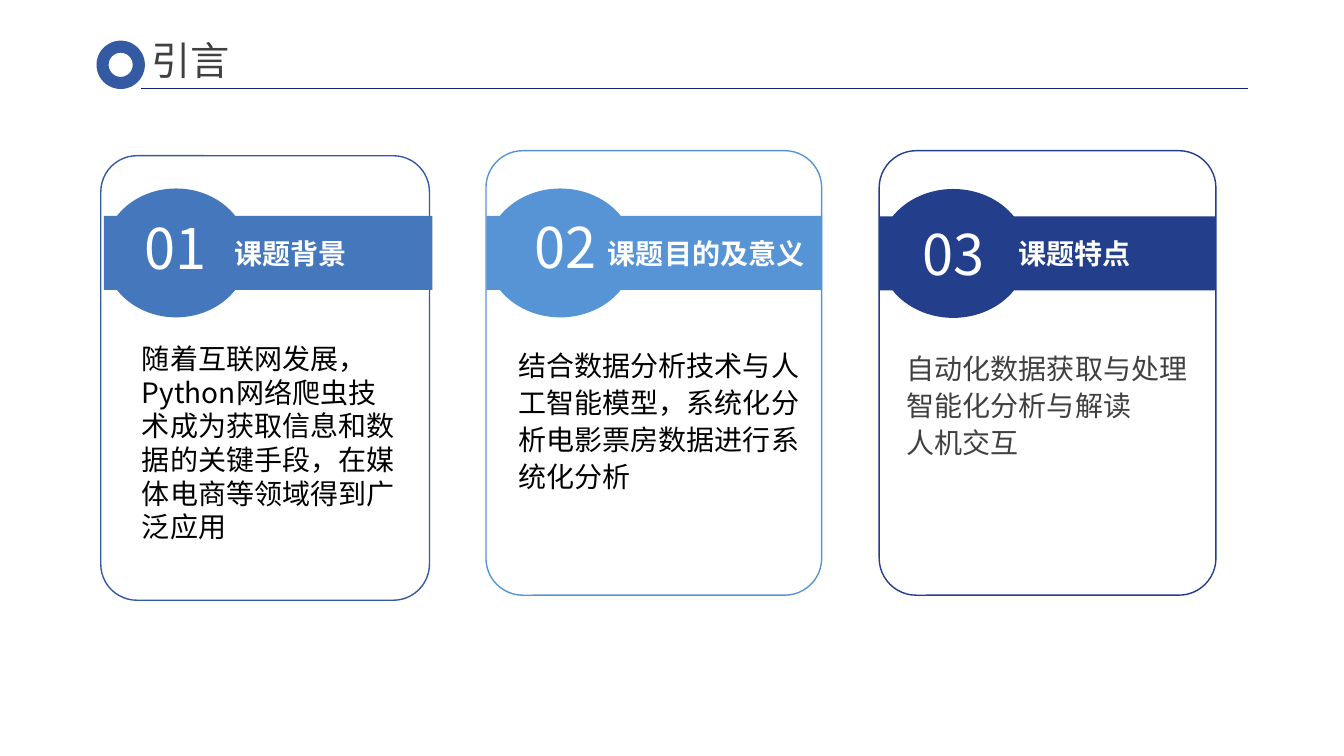
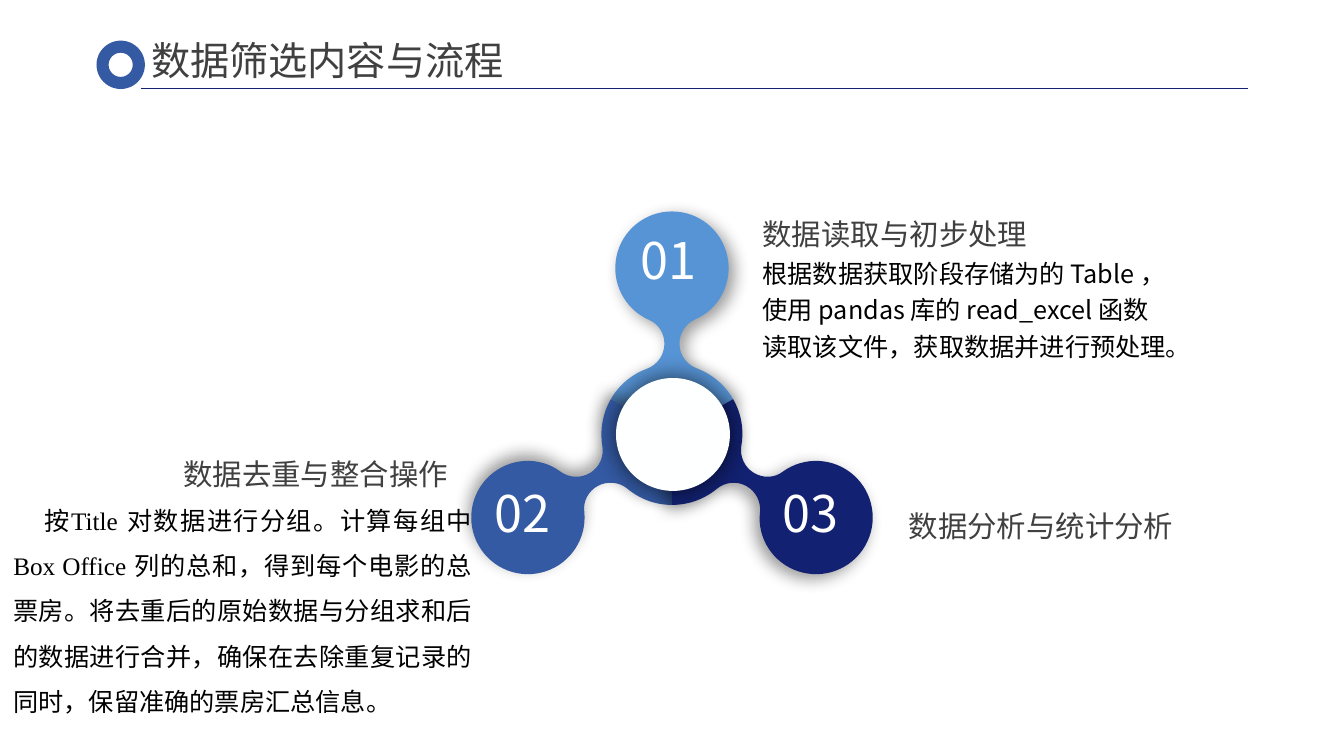
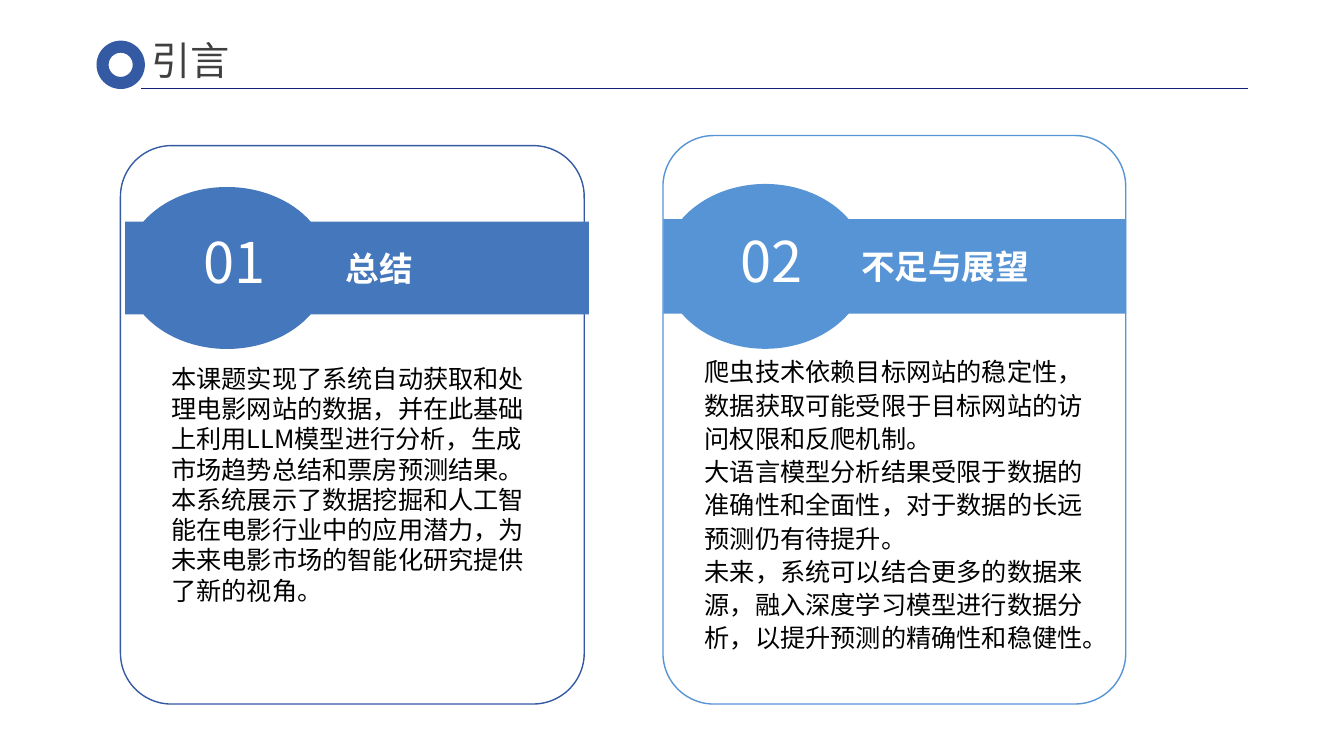
"""Build three slides on a film box-office project: two sets of cards and a three-armed wheel."""
import math
import pptx
import pptx.util
import pptx.dml.color
import pptx.enum.shapes
import pptx.enum.text
import pptx.oxml
import pptx.oxml.ns

RGB = pptx.dml.color.RGBColor
KIND = pptx.enum.shapes.MSO_SHAPE
ALIGN = pptx.enum.text.PP_ALIGN
MIDDLE = pptx.enum.text.MSO_ANCHOR.MIDDLE

NAVY = RGB(0x12, 0x21, 0x71)
DEEP = RGB(0x23, 0x3E, 0x8A)
BLUE = RGB(0x34, 0x5A, 0xA3)
MID = RGB(0x45, 0x77, 0xBC)
SKY = RGB(0x57, 0x94, 0xD5)
GRAY = RGB(0x40, 0x40, 0x40)
BLACK = RGB(0, 0, 0)
WHITE = RGB(0xFF, 0xFF, 0xFF)
PALE = RGB(0xFE, 0xFF, 0xFF)
SANS = "Noto Sans CJK SC"
SERIF = "Times New Roman"

deck = pptx.Presentation()
deck.slide_width = pptx.util.Inches(13.33)
deck.slide_height = pptx.util.Inches(7.5)
CELL = deck.slide_height / 75


def write(frame, lines, size, color, align=ALIGN.LEFT, space=None, bold=None, face=SANS):
    """Fill a text frame with evenly styled paragraphs."""
    frame.word_wrap = True
    frame.text = "\n".join(lines)
    for par in frame.paragraphs:
        par.alignment = align
        par.line_spacing = space
        par.font.size = pptx.util.Pt(size)
        par.font.bold = bold
        par.font.color.rgb = color
        par.font.name = face
        style = par._p.pPr.find(pptx.oxml.ns.qn("a:defRPr"))
        asian = pptx.oxml.parse_xml(f'<a:ea {pptx.oxml.ns.nsdecls("a")} typeface="{SANS}"/>')
        style.find(pptx.oxml.ns.qn("a:latin")).addnext(asian)


def trace(sheet, left, top, arcs, fill, spin=0):
    """Draw a closed outline of corners (x, y) and arcs (centre, radii, angles), turned about its origin."""
    dots, curves = [], []
    for mid_x, mid_y, *rest in arcs:
        rad_x, rad_y, start, stop = rest or (0, 0, 0, 0)
        first = (mid_x + rad_x * math.cos(math.radians(start)),
                 mid_y + rad_y * math.sin(math.radians(start)))
        if not dots or math.dist(dots[-1], first) > 0.3:
            dots.append(first)
        count = math.ceil(abs(stop - start) / 90)
        for step in range(count):
            sweep = math.radians((stop - start) / count)
            pull = math.tan(sweep / 4) * 4 / 3
            here = math.radians(start) + step * sweep
            there = here + sweep
            curves.append(len(dots))
            for angle, lean in ((here, pull), (there, -pull), (there, 0)):
                dots.append((mid_x + rad_x * (math.cos(angle) - lean * math.sin(angle)),
                             mid_y + rad_y * (math.sin(angle) + lean * math.cos(angle))))
    turn = math.radians(spin)
    dots = [((left + x * math.cos(turn) - y * math.sin(turn)) * CELL,
             (top + x * math.sin(turn) + y * math.cos(turn)) * CELL) for x, y in dots]
    pen = sheet.shapes.build_freeform(*dots[0])
    pen.add_line_segments(dots[1:], close=True)
    shape = pen.convert_to_shape()
    strokes = list(shape._element.spPr.iter(pptx.oxml.ns.qn("a:lnTo")))
    for at in curves:
        bend = strokes[at - 1]
        bend.tag = pptx.oxml.ns.qn("a:cubicBezTo")
        for extra in strokes[at:at + 2]:
            bend.append(extra[0])
            extra.getparent().remove(extra)
    shape.fill.solid()
    shape.fill.fore_color.rgb = fill
    shape.line.fill.background()
    shape.shadow.inherit = False
    return shape


sheets = []
for title in ("引言", "数据筛选内容与流程", "引言"):
    sheet = deck.slides.add_slide(deck.slide_layouts[5])
    sheets.append(sheet)
    head = sheet.shapes.title
    head.left, head.top, head.width, head.height = (int(n * CELL) for n in (14, 3.1, 40, 5.7))
    head.text_frame.auto_size = pptx.enum.text.MSO_AUTO_SIZE.NONE
    head.text_frame.vertical_anchor = MIDDLE
    write(head.text_frame, [title], 28, GRAY)
    ring = sheet.shapes.add_shape(KIND.DONUT, *(int(n * CELL) for n in (9.57, 4.03, 4.8, 4.8)))
    ring.fill.solid()
    ring.fill.fore_color.rgb = BLUE
    ring.line.fill.background()
    ring.shadow.inherit = False
    rule = sheet.shapes.add_connector(pptx.enum.shapes.MSO_CONNECTOR.STRAIGHT,
                                      *(int(n * CELL) for n in (14, 8.74, 123.8, 8.74)))
    rule.line.color.rgb = NAVY
    rule.line.width = pptx.util.Pt(0.5)
    rule._element.spPr.append(pptx.oxml.parse_xml(f'<a:effectLst {pptx.oxml.ns.nsdecls("a")}/>'))

first, wheel, last = sheets
cards = [
    (first, (10, 15.45, 32.6, 44.1), (10.3, 18.7), BLUE, MID, "01", (17.4, 20.7),
     "课题背景", 23.25, 20, (13.1, 33.4, 27.1, 21.2), 20, BLACK, None,
     ["随着互联网发展，Python网络爬虫技术成为获取信息和数据的关键手段，在媒体电商等领域得到广泛应用"]),
    (first, (48.2, 14.95, 33.3, 44.1), (48.25, 18.7), SKY, SKY, "02", (56.1, 20.6),
     "课题目的及意义", 60.3, 20, (50.45, 33.75, 29.9, 15.5), 20, BLACK, 1.1,
     ["结合数据分析技术与人工智能模型，系统化分析电影票房数据进行系统化分析"]),
    (first, (87.2, 14.95, 33.4, 44.1), (87.2, 18.75), DEEP, DEEP, "03", (94.6, 21.3),
     "课题特点", 101, 20, (88.95, 34.05, 30.5, 22.2), 20, GRAY, 1.1,
     ["自动化数据获取与处理", "智能化分析与解读", "人机交互"]),
    (last, (11.95, 14.45, 46, 55.4), (12.4, 18.55), BLUE, MID, "01", (23.25, 22.1),
     "总结", 34.3, 24, (16, 35.55, 38.1, 28.6), 18, BLACK, None,
     ["本课题实现了系统自动获取和处理电影网站的数据，并在此基础上利用LLM模型进行分析，"
      "生成市场趋势总结和票房预测结果。本系统展示了数据挖掘和人工智能在电影行业中的应用潜力，"
      "为未来电影市场的智能化研究提供了新的视角。"]),
    (last, (65.75, 13.45, 45.9, 56.4), (65.8, 18.25), SKY, SKY, "02", (76.55, 21.95),
     "不足与展望", 85.4, 24, (68.9, 34.6, 41.4, 33.8), 18, BLACK, 1.1,
     ["爬虫技术依赖目标网站的稳定性，数据获取可能受限于目标网站的访问权限和反爬机制。",
      "大语言模型分析结果受限于数据的准确性和全面性，对于数据的长远预测仍有待提升。",
      "未来，系统可以结合更多的数据来源，融入深度学习模型进行数据分析，以提升预测的精确性和稳健性。"]),
]
for (sheet, box, (left, top), edge, fill, number, (mid, high),
     label, start, large, body, size, ink, space, lines) in cards:
    card = sheet.shapes.add_shape(KIND.ROUNDED_RECTANGLE, *(int(n * CELL) for n in box))
    card.adjustments[0] = 0.11
    card.fill.solid()
    card.fill.fore_color.rgb = WHITE
    card.line.color.rgb = edge
    card.line.width = pptx.util.Pt(1)
    card.shadow.inherit = False

    wide, tall = box[2], box[3] * 0.29
    rad_x, rad_y = wide * 0.22, tall / 2
    up = rad_y * (1 - math.sin(math.radians(35)))
    low = tall - up
    band = trace(sheet, left, top, [
        (0, up), (rad_x, rad_y, rad_x, rad_y, 215, 325), (wide, up),
        (wide, low), (rad_x, rad_y, rad_x, rad_y, 35, 145), (0, low)], fill)
    band.text_frame.margin_left = int((start - left) * CELL)
    band.text_frame.margin_right = 0
    band.text_frame.vertical_anchor = MIDDLE
    write(band.text_frame, [label], large, WHITE, bold=True)

    count = sheet.shapes.add_textbox(*(int(n * CELL) for n in (mid - 5.5, high, 11, 7.7)))
    write(count.text_frame, [number], 40, WHITE, ALIGN.CENTER)
    note = sheet.shapes.add_textbox(*(int(n * CELL) for n in body))
    write(note.text_frame, lines, size, ink, space=space)

HUB_X, HUB_Y = 66.65, 43.1
arm = [(0, 0), (0, 0, 7, 7, -30, -69), (3.4, -9, 2.65, 2.65, 111, 246),
       (0, -16.5, 5.62, 5.62, 66, -246), (-3.4, -9, 2.65, 2.65, -66, 69), (0, 0, 7, 7, -111, -150)]
parts = [(trace(wheel, HUB_X, HUB_Y, arm, fill, spin), 40, 12, 5, aim)
         for fill, spin, aim in ((SKY, 0, 40), (BLUE, 240, 250), (NAVY, 120, 140))]
hub = wheel.shapes.add_shape(KIND.OVAL, *(int(n * CELL) for n in (61.1, 37.5, 11.3, 11.2)))
hub.fill.solid()
hub.fill.fore_color.rgb = PALE
hub.line.fill.background()
hub.shadow.inherit = False
for shape, alpha, blur, far, aim in parts + [(hub, 65, 18, 0, 10)]:
    effects = shape._element.spPr.find(pptx.oxml.ns.qn("a:effectLst"))
    effects.append(pptx.oxml.parse_xml(
        f'<a:outerShdw {pptx.oxml.ns.nsdecls("a")} blurRad="{pptx.util.Pt(blur)}" '
        f'dist="{pptx.util.Pt(far)}" dir="{aim * 60000}" algn="ctr" rotWithShape="0">'
        f'<a:srgbClr val="000000"><a:alpha val="{alpha * 1000}"/></a:srgbClr></a:outerShdw>'))

for number, left, top in (("01", 62.55, 22.2), ("02", 48.1, 47.3), ("03", 76.65, 47.3)):
    count = wheel.shapes.add_textbox(*(int(n * CELL) for n in (left, top, 9, 7.1)))
    write(count.text_frame, [number], 36, WHITE)
for label, left, top in (("数据读取与初步处理", 74.65, 20.95), ("数据去重与整合操作", 17.2, 44.8),
                         ("数据分析与统计分析", 89.15, 49.9)):
    name = wheel.shapes.add_textbox(*(int(n * CELL) for n in (left, top, 29, 4.5)))
    write(name.text_frame, [label], 21, GRAY)

load = wheel.shapes.add_textbox(*(int(n * CELL) for n in (74.65, 24.55, 42.2, 11.6)))
write(load.text_frame, ["根据数据获取阶段存储为的 Table ，使用 pandas 库的 read_excel 函数读取该文件，"
                        "获取数据并进行预处理。"], 18, BLACK, space=1.2)
merge = wheel.shapes.add_textbox(*(int(n * CELL) for n in (0.33, 48.1, 47.5, 23.7)))
write(merge.text_frame, ["按Title 对数据进行分组。计算每组中 Box Office 列的总和，得到每个电影的总票房。"
                         "将去重后的原始数据与分组求和后的数据进行合并，确保在去除重复记录的同时，"
                         "保留准确的票房汇总信息。"], 18, BLACK, ALIGN.JUSTIFY, 1.5, face=SERIF)
merge.text_frame.paragraphs[0]._p.pPr.set("indent", str(int(3.1 * CELL)))

deck.save("out.pptx")
